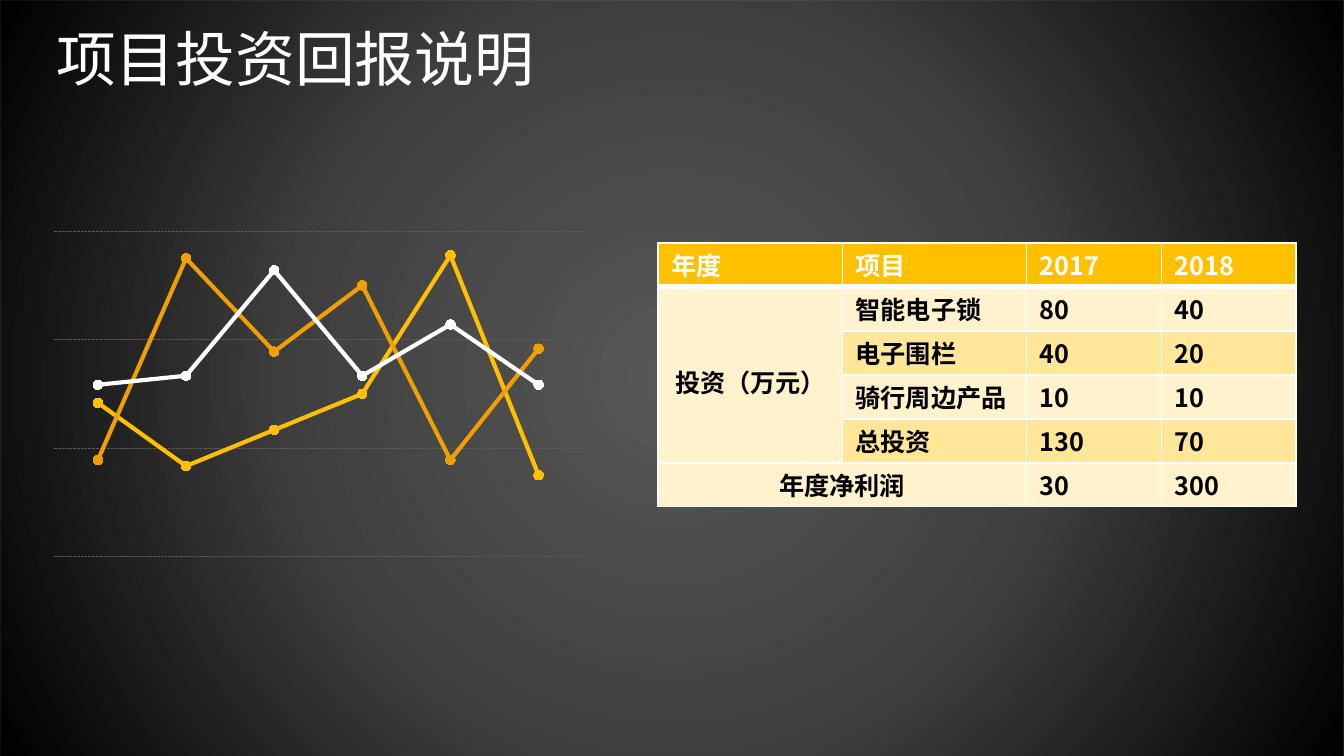
from pptx import Presentation
from pptx.chart.data import CategoryChartData
from pptx.dml.color import RGBColor
from pptx.enum.chart import XL_CHART_TYPE, XL_MARKER_STYLE
from pptx.enum.dml import MSO_LINE
from pptx.enum.shapes import MSO_SHAPE
from pptx.enum.text import MSO_ANCHOR, MSO_AUTO_SIZE, PP_ALIGN
from pptx.oxml import parse_xml
from pptx.oxml.ns import nsdecls, qn
from pptx.util import Cm, Pt

FONT = "Noto Sans CJK SC"
WHITE, BLACK, GOLD, ORANGE = "FFFFFF", "000000", "FFC000", "EF9F00"


def color(hex_string):
    return RGBColor.from_string(hex_string)


def write(text_frame, text, size=13.5, fill=BLACK, bold=False, align=PP_ALIGN.LEFT):
    paragraph = text_frame.paragraphs[0]
    paragraph.alignment = align
    run = paragraph.add_run()
    run.text = text
    run.font.size = Pt(size)
    run.font.bold = bold
    run.font.name = FONT
    run.font.color.rgb = color(fill)
    run.font._element.append(parse_xml(f'<a:ea {nsdecls("a")} typeface="{FONT}"/>'))


presentation = Presentation()
presentation.slide_width, presentation.slide_height = Cm(25.4), Cm(14.28)
slide = presentation.slides.add_slide(presentation.slide_layouts[6])

# Background: translucent black, darkening from the centre
background = slide.shapes.add_shape(
    MSO_SHAPE.RECTANGLE, 0, 0, presentation.slide_width, presentation.slide_height)
background.shadow.inherit = False
background.line.fill.background()
stops = "".join(
    f'<a:gs pos="{position}000"><a:srgbClr val="{BLACK}"><a:alpha val="{alpha}000"/></a:srgbClr></a:gs>'
    for position, alpha in [(0, 65), (50, 75), (100, 100)])
background._element.spPr.find(qn("a:prstGeom")).addnext(parse_xml(
    f'<a:gradFill {nsdecls("a")} rotWithShape="1"><a:gsLst>{stops}</a:gsLst>'
    '<a:path path="circle"><a:fillToRect l="50000" t="50000" r="50000" b="50000"/></a:path>'
    '</a:gradFill>'))

# Line chart
SERIES = [
    ("Series 1", GOLD, (51, 30, 42, 54, 100, 27)),
    ("Series 2", ORANGE, (32, 99, 68, 90, 32, 69)),
    ("Series 3", WHITE, (57, 60, 95, 60, 77, 57)),
]
chart_data = CategoryChartData()
chart_data.categories = ["1", "2", "3", "4", "5", "6"]
for name, _, values in SERIES:
    chart_data.add_series(name, values)
chart = slide.shapes.add_chart(
    XL_CHART_TYPE.LINE_MARKERS, Cm(0.81), Cm(4.24), Cm(10.41), Cm(6.4), chart_data).chart
chart.has_legend = False
chart.has_title = False
chart.font.size = Pt(10)
chart.font.name = "Calibri"
chart.font.color.rgb = color(BLACK)
chart.category_axis.visible = False
value_axis = chart.value_axis
value_axis.visible = False
value_axis.minimum_scale, value_axis.maximum_scale, value_axis.major_unit = 0, 108, 36
value_axis.has_major_gridlines = True
gridline = value_axis.major_gridlines.format.line
gridline.color.rgb = color("595959")
gridline.width = Pt(0.5)
gridline.dash_style = MSO_LINE.SQUARE_DOT
gridline._ln.find(qn("a:prstDash")).set("val", "sysDash")
for series, (_, series_color, _) in zip(chart.plots[0].series, SERIES):
    series.smooth = False
    series.format.line.color.rgb = color(series_color)
    series.format.line.width = Pt(2.25)
    series.marker.style = XL_MARKER_STYLE.CIRCLE
    series.marker.size = 5
    series.marker.format.fill.solid()
    series.marker.format.fill.fore_color.rgb = color(series_color)
    series.marker.format.line.color.rgb = color(series_color)

# Title
title = slide.shapes.add_textbox(Cm(0.81), Cm(0.28), Cm(9.63), Cm(1.63))
title.text_frame.word_wrap = False
title.text_frame.auto_size = MSO_AUTO_SIZE.SHAPE_TO_FIT_TEXT
write(title.text_frame, "项目投资回报说明", size=32, fill=WHITE)

# Investment table
ROWS = [
    ("年度", "项目", "2017", "2018"),
    ("投资（万元）", "智能电子锁", "80", "40"),
    ("", "电子围栏", "40", "20"),
    ("", "骑行周边产品", "10", "10"),
    ("", "总投资", "130", "70"),
    ("年度净利润", "", "30", "300"),
]
COLUMN_WIDTHS = [3.48, 3.48, 2.55, 2.55]
ROW_HEIGHT = 0.83
table = slide.shapes.add_table(
    len(ROWS), len(COLUMN_WIDTHS), Cm(12.44), Cm(4.59),
    Cm(sum(COLUMN_WIDTHS)), Cm(ROW_HEIGHT * len(ROWS))).table
for column, width in zip(table.columns, COLUMN_WIDTHS):
    column.width = Cm(width)
for row in table.rows:
    row.height = Cm(ROW_HEIGHT)
table.cell(1, 0).merge(table.cell(4, 0))
table.cell(5, 0).merge(table.cell(5, 1))

for row_index, row_texts in enumerate(ROWS):
    is_header = row_index == 0
    for column_index, text in enumerate(row_texts):
        cell = table.cell(row_index, column_index)
        cell.margin_top = cell.margin_bottom = Cm(0.06)
        cell.vertical_anchor = MSO_ANCHOR.MIDDLE
        for side in "LRTB":
            width = Pt(3 if is_header and side == "B" or row_index == 1 and side == "T" else 1)
            cell._tc.get_or_add_tcPr().append(parse_xml(
                f'<a:ln{side} {nsdecls("a")} w="{width}"><a:solidFill>'
                f'<a:srgbClr val="{WHITE}"/></a:solidFill></a:ln{side}>'))
        cell.fill.solid()
        band = "FFF2CC" if row_index % 2 or column_index == 0 else "FFE699"
        cell.fill.fore_color.rgb = color(GOLD if is_header else band)
        if text:
            centered = cell.is_merge_origin
            write(cell.text_frame, text, bold=True, fill=WHITE if is_header else BLACK,
                  align=PP_ALIGN.CENTER if centered else PP_ALIGN.LEFT)
# The label of the tall cell sits a little below its middle
table.cell(1, 0).margin_top = Cm(0.32)

presentation.save("out.pptx")
